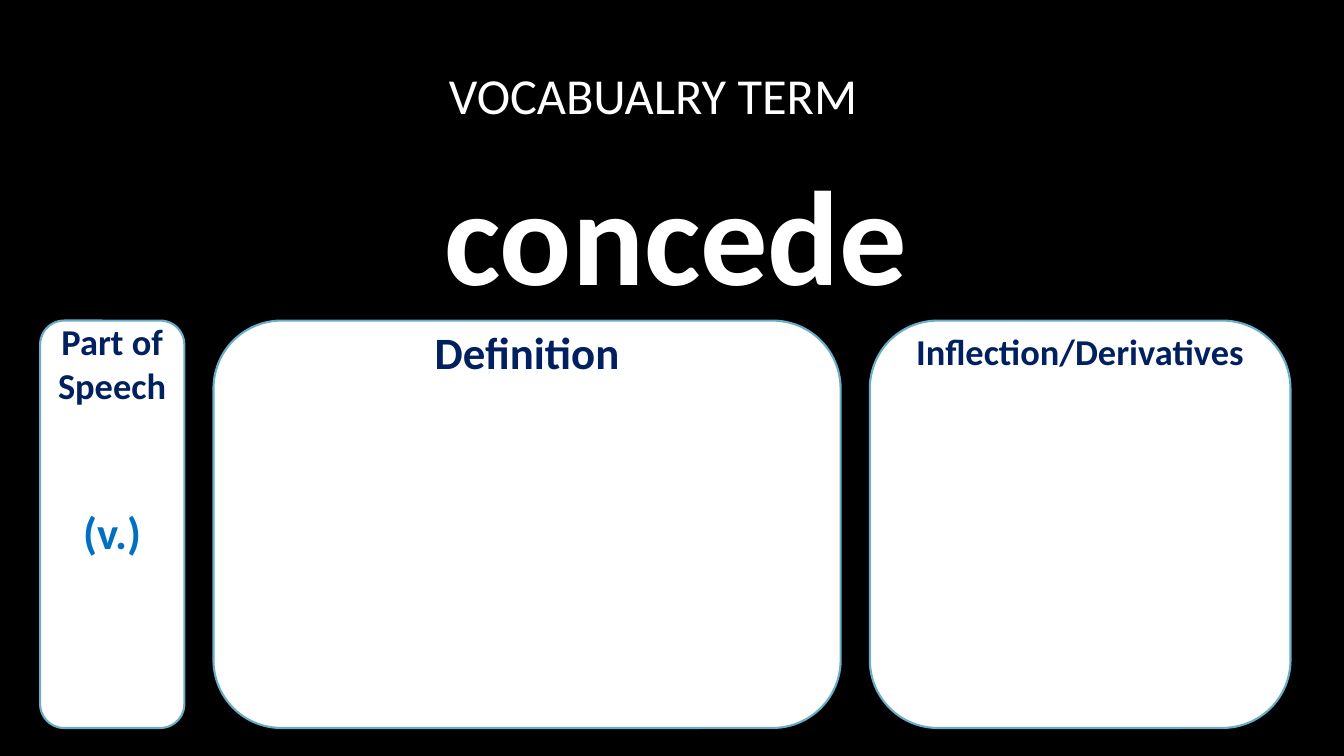
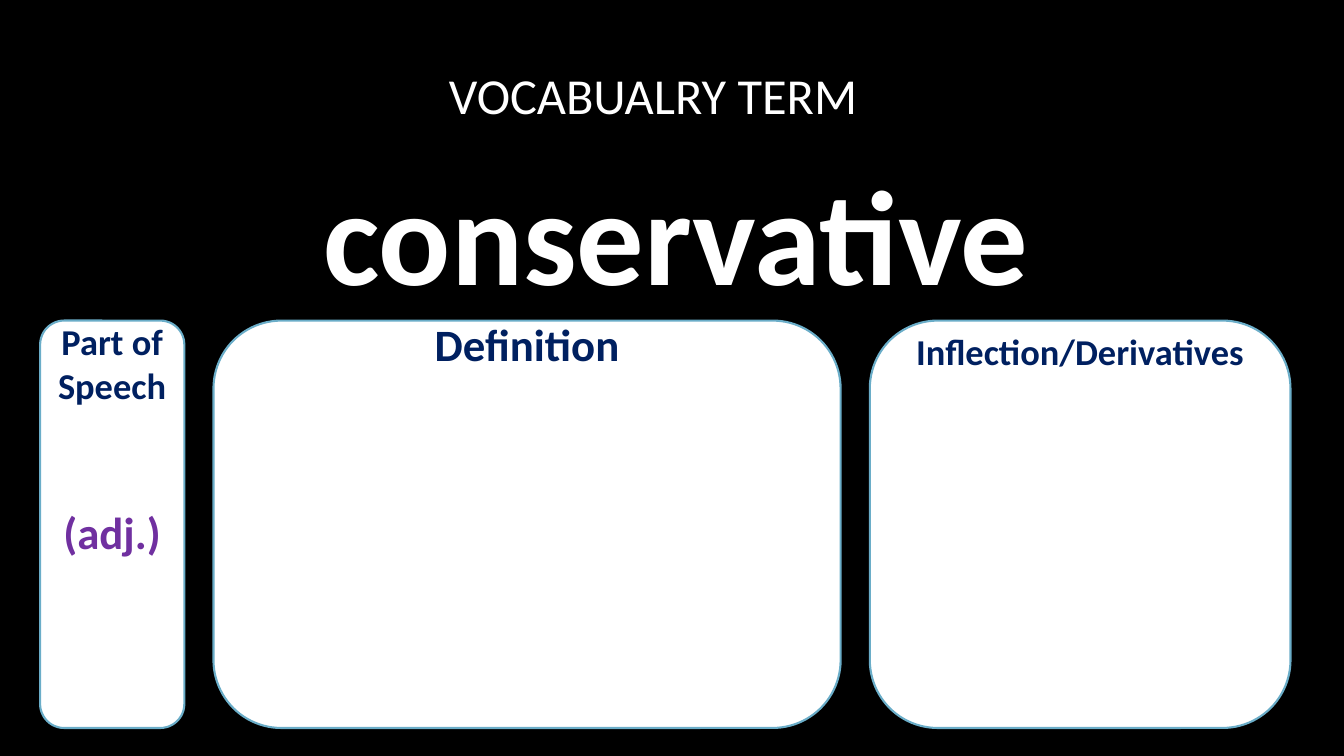
from pptx import Presentation
from pptx.dml.color import RGBColor
from pptx.enum import shapes, text
from pptx.util import Pt

BLACK = RGBColor(0x00, 0x00, 0x00)
WHITE = RGBColor(0xFF, 0xFF, 0xFF)
NAVY = RGBColor(0x00, 0x20, 0x60)
OUTLINE = RGBColor(0x6A, 0xAD, 0xC8)
BLUE = RGBColor(0x00, 0x70, 0xC0)
PURPLE = RGBColor(0x70, 0x30, 0xA0)
FONT = "Calibri"

HEADING = "VOCABUALRY TERM"
TERMS = [
    {"term": "concede", "speech": "(v.)", "color": BLUE, "definition_inset": -11.5},
    {"term": "conservative", "speech": "(adj.)", "color": PURPLE, "definition_inset": -17},
]

HEAD_LEFT, HEAD_WIDTH = 84, 798
CARD_LEFT, CARD_TOP, CARD_HEIGHT, CARD_GAP = 28.7, 229, 291, 20.8


def style(paragraph, size, color, bold=True):
    paragraph.alignment = text.PP_ALIGN.CENTER
    for run in paragraph.runs:
        run.font.name = FONT
        run.font.size = Pt(size)
        run.font.bold = bold
        run.font.color.rgb = color


def add_heading(slide, words, top, height, size, bold, right_inset=7.2):
    heading = slide.shapes.add_textbox(Pt(HEAD_LEFT), Pt(top), Pt(HEAD_WIDTH), Pt(height))
    frame = heading.text_frame
    frame.word_wrap = True
    frame.vertical_anchor = text.MSO_ANCHOR.MIDDLE
    frame.margin_right = Pt(right_inset)
    frame.text = words
    style(frame.paragraphs[0], size, WHITE, bold)


def add_card(slide, left, width, label, size, top_inset):
    card = slide.shapes.add_shape(
        shapes.MSO_SHAPE.ROUNDED_RECTANGLE,
        Pt(left), Pt(CARD_TOP), Pt(width), Pt(CARD_HEIGHT))
    card.shadow.inherit = False
    card.fill.solid()
    card.fill.fore_color.rgb = WHITE
    card.line.color.rgb = OUTLINE
    card.line.width = Pt(1.5)
    frame = card.text_frame
    frame.word_wrap = True
    frame.vertical_anchor = text.MSO_ANCHOR.TOP
    frame.margin_top = Pt(top_inset)
    frame.text = label
    style(frame.paragraphs[0], size, NAVY)
    return frame


def add_term(deck, entry):
    slide = deck.slides.add_slide(deck.slide_layouts[6])
    slide.background.fill.solid()
    slide.background.fill.fore_color.rgb = BLACK
    add_heading(slide, HEADING, 33, 69, 36, False, right_inset=40)
    add_heading(slide, entry["term"], 102, 127, 96, True)

    cards = [
        ("Part of Speech", 103, 26, -6),
        ("Definition", 448, 32, entry["definition_inset"]),
        ("Inflection/Derivatives", 300.5, 26, -8),
    ]
    left = CARD_LEFT
    frames = []
    for label, width, size, top_inset in cards:
        frames.append(add_card(slide, left, width, label, size, top_inset))
        left += width + CARD_GAP

    speech = frames[0].add_paragraph()
    speech.text = entry["speech"]
    speech.space_before = Pt(70)
    style(speech, 32, entry["color"])


def main():
    deck = Presentation()
    deck.slide_width, deck.slide_height = Pt(960), Pt(540)
    for entry in TERMS:
        add_term(deck, entry)
    deck.save("out.pptx")


if __name__ == "__main__":
    main()
